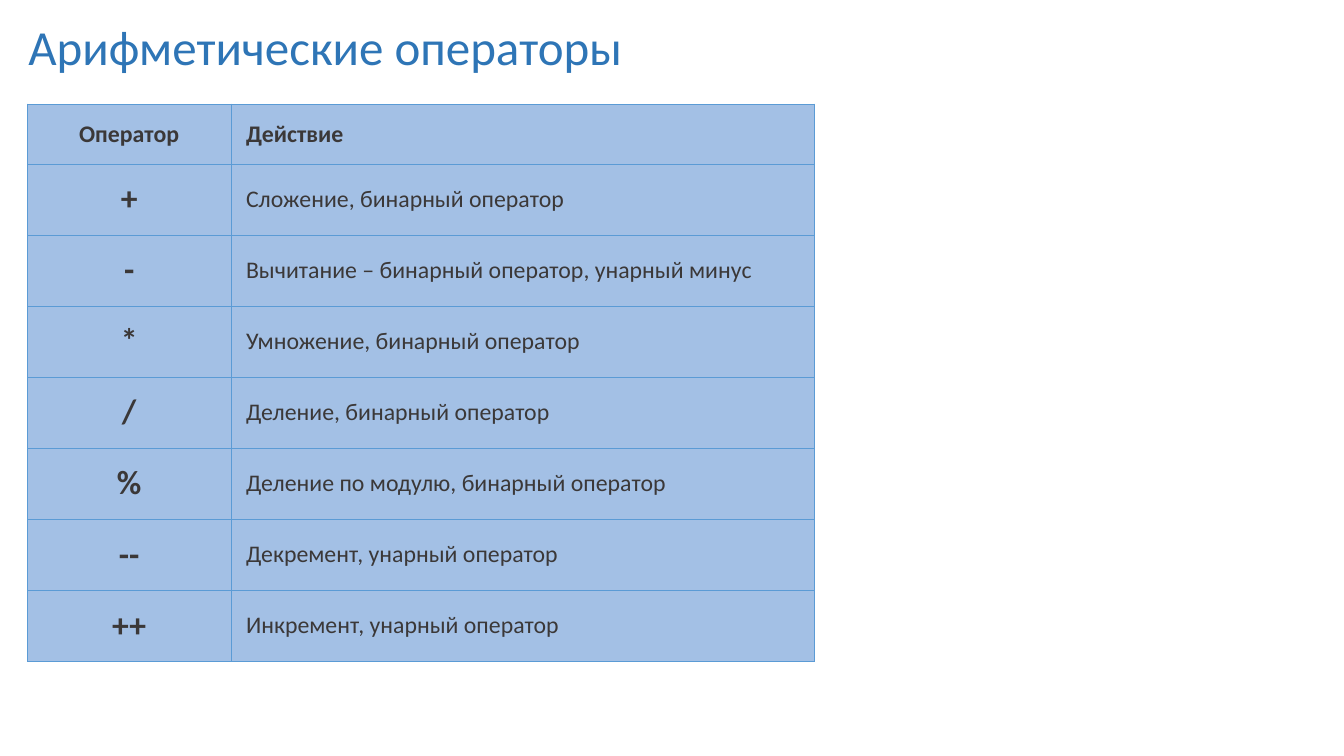
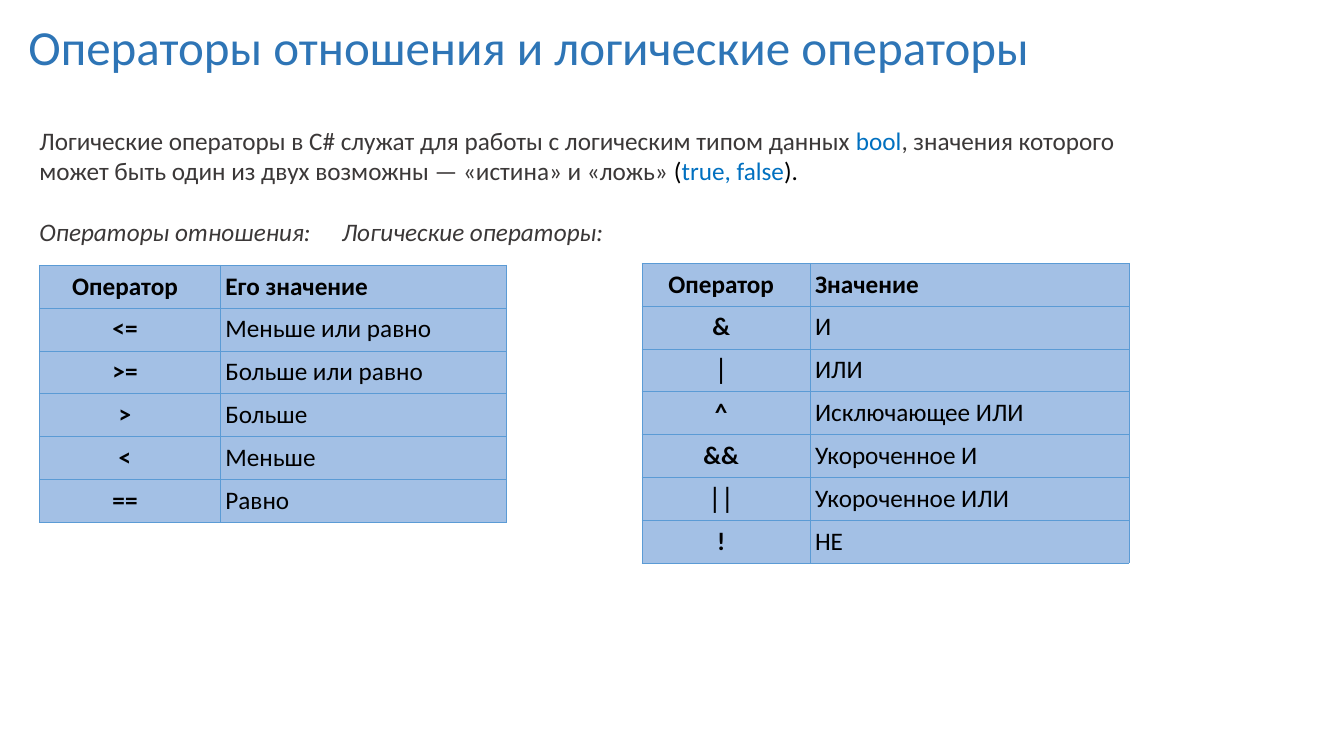
from lxml import etree
from pptx import Presentation
from pptx.dml.color import RGBColor
from pptx.enum.text import MSO_ANCHOR, MSO_AUTO_SIZE, PP_ALIGN
from pptx.oxml.ns import qn
from pptx.util import Cm, Pt

LEFT, CENTER = PP_ALIGN.LEFT, PP_ALIGN.CENTER
TOP, MIDDLE = MSO_ANCHOR.TOP, MSO_ANCHOR.MIDDLE
NO_AUTOFIT = MSO_AUTO_SIZE.NONE

# Shared look
FONT = "Calibri"
TITLE_BLUE, KEYWORD_BLUE = "2E75B6", "0070C0"
DARK, BLACK = "3B3838", "000000"
CELL_FILL, BORDER = "A3C0E5", "5B9BD5"
TITLE_ONLY, TITLE_AND_BODY = 5, 1

# Content
ARITHMETIC_TITLE = "Арифметические операторы"
ARITHMETIC = [
    ("Оператор", "Действие"),
    ("+", "Сложение, бинарный оператор"),
    ("-", "Вычитание – бинарный оператор, унарный минус"),
    ("*", "Умножение, бинарный оператор"),
    ("/", "Деление, бинарный оператор"),
    ("%", "Деление по модулю, бинарный оператор"),
    ("--", "Декремент, унарный оператор"),
    ("++", "Инкремент, унарный оператор"),
]

LOGIC_TITLE = "Операторы отношения и логические операторы"
LOGIC_INTRO = [
    ("Логические операторы в C# служат для работы с логическим типом данных ", DARK),
    ("bool", KEYWORD_BLUE),
    (", значения которого может быть один из двух возможны — «истина» и «ложь» ", DARK),
    ("(", BLACK),
    ("true, false", KEYWORD_BLUE),
    (").", BLACK),
]
TABLE_CAPTIONS = ("Операторы отношения:", "Логические операторы:")
RELATIONAL = [
    ("Оператор", "Его значение"),
    ("<=", "Меньше или равно"),
    (">=", "Больше или равно"),
    (">", "Больше"),
    ("<", "Меньше"),
    ("==", "Равно"),
]
LOGICAL = [
    ("Оператор", "Значение"),
    ("&", "И"),
    ("│", "ИЛИ"),
    ("^", "Исключающее ИЛИ"),
    ("&&", "Укороченное И"),
    ("││", "Укороченное ИЛИ"),
    ("!", "НЕ"),
]

# Table styles: margins are left, top, right, bottom in cm, one set per column
ROOMY = dict(size=17, symbol_size=24, color=DARK, anchor=MIDDLE,
             header_height=1.51, row_height=1.79,
             margins=[(0.38, 0.37, 0.38, 0.37)] * 2)
COMPACT = dict(size=18, symbol_size=18, color=BLACK, anchor=TOP,
               header_height=1.08, row_height=1.08,
               margins=[(0, 0.15, 0.25, 0.15), (0.12, 0.15, 0.25, 0.15)])


def rgb(hex_color):
    return RGBColor.from_string(hex_color)


def add_run(paragraph, text, size, color, bold=False, italic=False):
    run = paragraph.add_run()
    run.text = text
    font = run.font
    font.name, font.size, font.bold, font.italic = FONT, Pt(size), bold, italic
    font.color.rgb = rgb(color)


def place(placeholder, left, top, width, height):
    placeholder.left, placeholder.top = Cm(left), Cm(top)
    placeholder.width, placeholder.height = Cm(width), Cm(height)
    frame = placeholder.text_frame
    frame.word_wrap, frame.auto_size = True, NO_AUTOFIT
    frame.vertical_anchor = TOP
    return frame


def add_titled_slide(layout, title):
    slide = prs.slides.add_slide(prs.slide_layouts[layout])
    heading = place(slide.shapes.title, 0.46, 0.3, 32.8, 1.75).paragraphs[0]
    heading.alignment = LEFT
    add_run(heading, title, 35, TITLE_BLUE)
    return slide


def format_plain(paragraph, space_before, tab_stop=None):
    paragraph.alignment = LEFT
    paragraph.space_before, paragraph.space_after = Pt(space_before), Pt(0)
    properties = paragraph._p.get_or_add_pPr()
    properties.set("marL", "0")
    properties.set("indent", "0")
    etree.SubElement(properties, qn("a:buNone"))
    if tab_stop:
        tabs = etree.SubElement(properties, qn("a:tabLst"))
        etree.SubElement(tabs, qn("a:tab"), pos=str(Cm(tab_stop)), algn="l")


def add_borders(cell):
    properties = cell._tc.get_or_add_tcPr()
    for side in ("lnL", "lnR", "lnT", "lnB"):
        line = etree.SubElement(properties, qn("a:" + side), w=str(Pt(0.5)))
        fill = etree.SubElement(line, qn("a:solidFill"))
        etree.SubElement(fill, qn("a:srgbClr"), val=BORDER)


def add_operators(slide, rows, left, top, widths, style):
    heights = [style["header_height"]] + [style["row_height"]] * (len(rows) - 1)
    table = slide.shapes.add_table(len(rows), len(widths), Cm(left), Cm(top),
                                   Cm(sum(widths)), Cm(sum(heights))).table
    table.first_row = table.horz_banding = False
    for column, width in zip(table.columns, widths):
        column.width = Cm(width)
    for r, (texts, height) in enumerate(zip(rows, heights)):
        table.rows[r].height = Cm(height)
        for c, text in enumerate(texts):
            cell = table.cell(r, c)
            add_borders(cell)
            cell.fill.solid()
            cell.fill.fore_color.rgb = rgb(CELL_FILL)
            cell.vertical_anchor = style["anchor"]
            (cell.margin_left, cell.margin_top, cell.margin_right,
             cell.margin_bottom) = map(Cm, style["margins"][c])
            is_header, is_symbol = r == 0, c == 0
            paragraph = cell.text_frame.paragraphs[0]
            paragraph.alignment = CENTER if is_symbol else LEFT
            size = style["symbol_size" if is_symbol and not is_header else "size"]
            add_run(paragraph, text, size, style["color"], bold=is_header or is_symbol)


prs = Presentation()
prs.slide_width, prs.slide_height = Cm(33.87), Cm(19.05)

# Arithmetic operators
arithmetic_slide = add_titled_slide(TITLE_ONLY, ARITHMETIC_TITLE)
add_operators(arithmetic_slide, ARITHMETIC, 0.69, 2.62, (5.13, 14.71), ROOMY)

# Relational and logical operators
logic_slide = add_titled_slide(TITLE_AND_BODY, LOGIC_TITLE)
body = place(logic_slide.placeholders[1], 0.74, 3.02, 28.35, 3.5)
intro = body.paragraphs[0]
format_plain(intro, 0)
for text, color in LOGIC_INTRO:
    add_run(intro, text, 18, color)
captions = body.add_paragraph()
format_plain(captions, 22, tab_stop=15.35)
add_run(captions, "\t".join(TABLE_CAPTIONS), 18, DARK, italic=True)
add_operators(logic_slide, RELATIONAL, 0.99, 6.68, (4.57, 7.19), COMPACT)
add_operators(logic_slide, LOGICAL, 16.18, 6.63, (4.24, 8.03), COMPACT)

prs.save("out.pptx")
